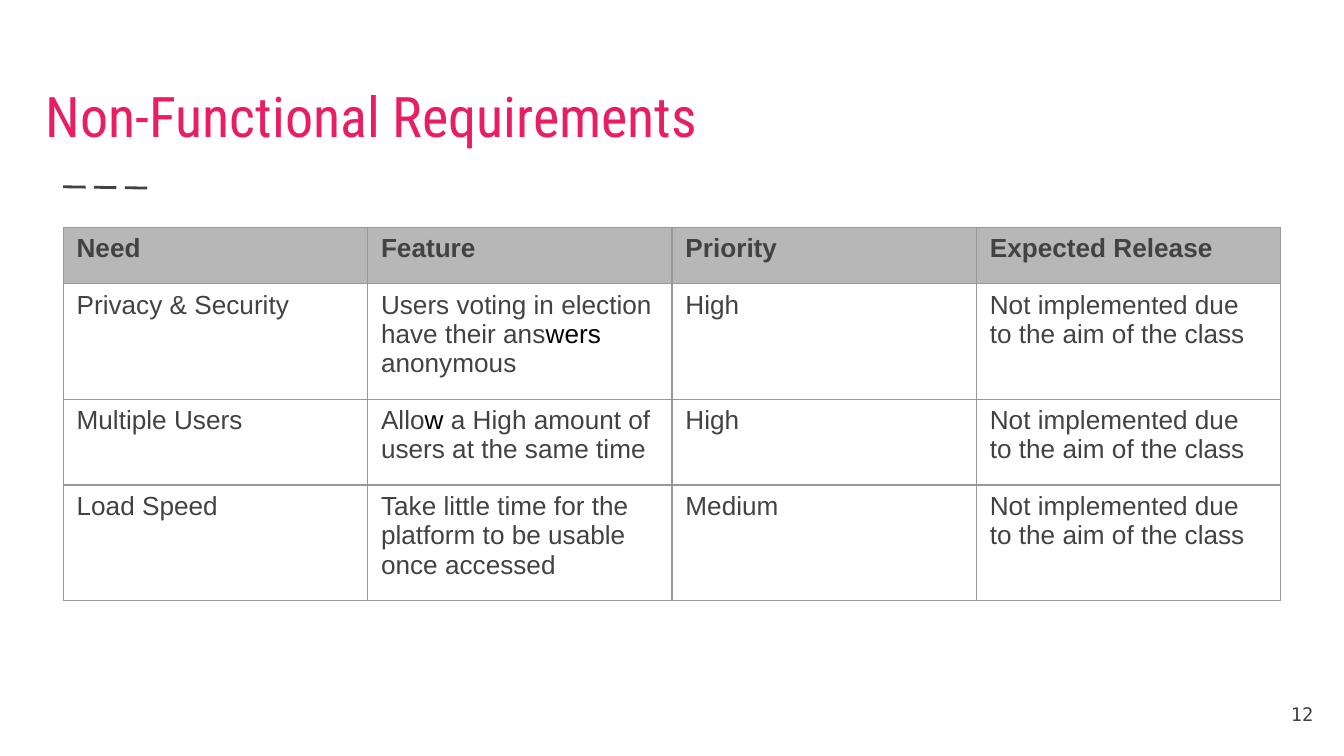
from lxml import etree
from pptx import Presentation
from pptx.dml.color import RGBColor
from pptx.enum.dml import MSO_LINE
from pptx.enum.shapes import MSO_CONNECTOR
from pptx.enum.text import MSO_ANCHOR, PP_ALIGN
from pptx.oxml import parse_xml
from pptx.oxml.ns import nsdecls, qn
from pptx.util import Inches, Pt

COLORS = {
    "title": "E91D63",
    "text": "424242",
    "accent": "000000",
    "header": "B7B7B7",
    "border": "999999",
}


def add_label(text, box, margins, anchor, align, font, size, color):
    label = slide.shapes.add_textbox(*[Inches(v) for v in box])
    frame = label.text_frame
    frame.word_wrap = True
    frame.vertical_anchor = anchor
    frame.margin_left = frame.margin_right = Inches(margins[0])
    frame.margin_top = frame.margin_bottom = Inches(margins[1])
    line = frame.paragraphs[0]
    line.text = text
    line.alignment = align
    line.font.name = font
    line.font.size = Pt(size)
    line.font.color.rgb = RGBColor.from_string(COLORS[color])


def add_borders(cell):
    properties = cell._tc.get_or_add_tcPr()
    for index, side in enumerate(("lnL", "lnR", "lnT", "lnB")):
        properties.insert(index, parse_xml(
            f'<a:{side} {nsdecls("a")} w="{Pt(0.75)}"><a:solidFill>'
            f'<a:srgbClr val="{COLORS["border"]}"/></a:solidFill></a:{side}>'))


# Widescreen 16:9 slide
deck = Presentation()
deck.slide_width = Inches(10)
deck.slide_height = Inches(10 * 9 / 16)
slide = deck.slides.add_slide(deck.slide_layouts[6])

# Dashed rule under the title
rule = slide.shapes.add_connector(
    MSO_CONNECTOR.STRAIGHT, Inches(0.47), Inches(1.39), Inches(1.14), Inches(1.4))
rule.line.color.rgb = RGBColor.from_string(COLORS["text"])
rule.line.width = Pt(1.5)
rule.line.dash_style = MSO_LINE.LONG_DASH
etree.SubElement(rule._element.spPr, qn("a:effectLst"))

# Title and page number
add_label("Non-Functional Requirements", (0.34, 0.41, 9.32, 0.8), (0, 0.1),
          MSO_ANCHOR.BOTTOM, PP_ALIGN.LEFT, "Roboto Condensed", 30, "title")
add_label("12", (9.27, 5.1, 0.6, 0.43), (0.1, 0.1),
          MSO_ANCHOR.MIDDLE, PP_ALIGN.RIGHT, "DejaVu Sans Mono", 10, "text")

# Requirements table; bars enclose the letters set in the accent colour
release = "Not implemented due to the aim of the class"
requirements = [
    ("Need", "Feature", "Priority", "Expected Release"),
    ("Privacy & Security",
     "Users voting in election have their ans|wers| anonymous", "High", release),
    ("Multiple Users",
     "Allo|w| a High amount of users at the same time", "High", release),
    ("Load Speed",
     "Take little time for the platform to be usable once accessed", "Medium", release),
]
table_width = 9.06
row_heights = [0.42, 0.86, 0.64, 0.86]
table = slide.shapes.add_table(
    len(requirements), 4, Inches(0.47), Inches(1.69),
    Inches(table_width), Inches(sum(row_heights))).table
for column in table.columns:
    column.width = Inches(table_width / 4)

for row, (height, texts) in enumerate(zip(row_heights, requirements)):
    table.rows[row].height = Inches(height)
    for col, text in enumerate(texts):
        cell = table.cell(row, col)
        if row == 0:
            cell.fill.solid()
            cell.fill.fore_color.rgb = RGBColor.from_string(COLORS["header"])
        else:
            cell.fill.background()
        add_borders(cell)
        content = cell.text_frame.paragraphs[0]
        content.font.name = "Arial"
        content.font.size = Pt(14)
        content.font.bold = row == 0
        for index, piece in enumerate(text.split("|")):
            run = content.add_run()
            run.text = piece
            run.font.color.rgb = RGBColor.from_string(
                COLORS["accent" if index % 2 else "text"])

deck.save("out.pptx")
